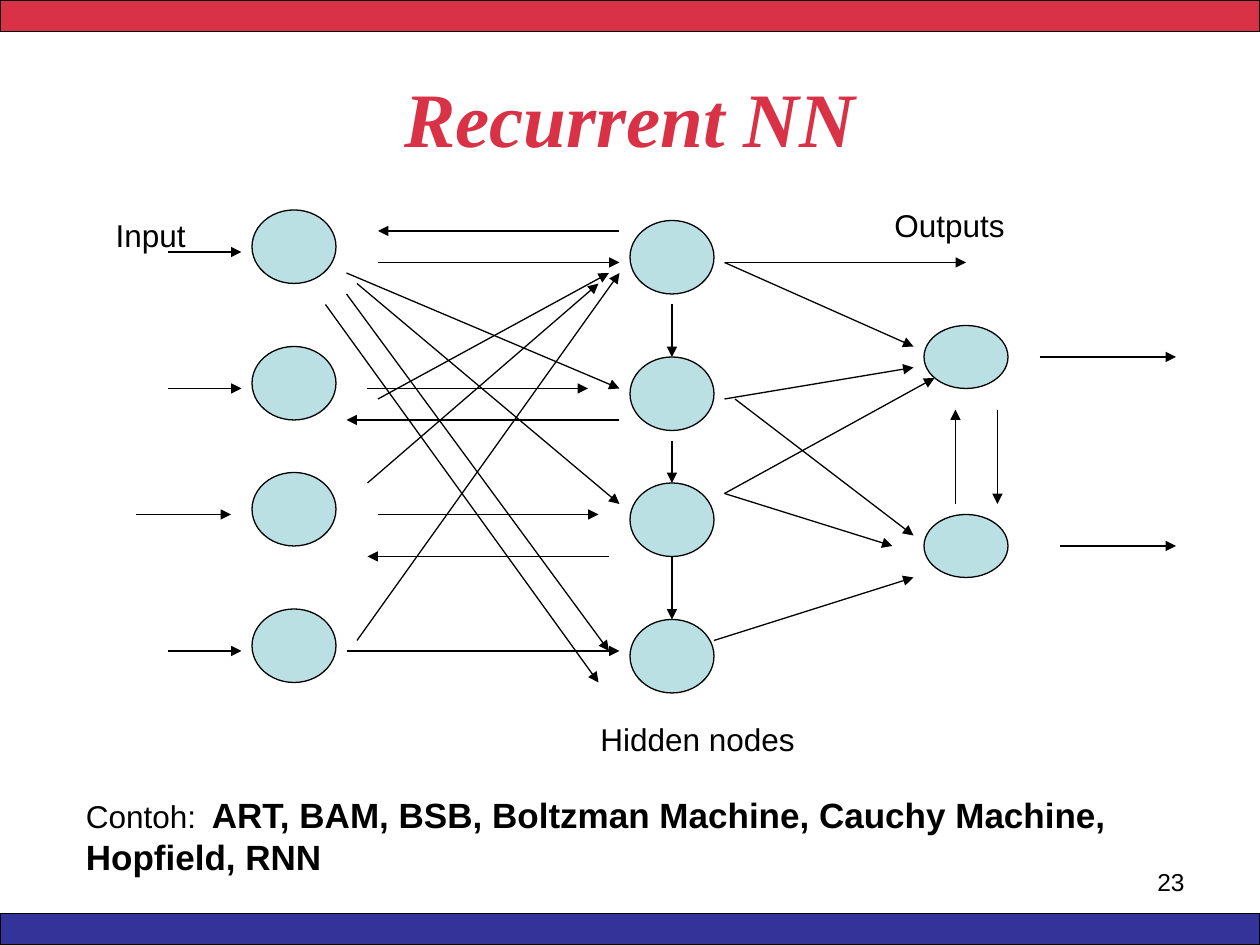
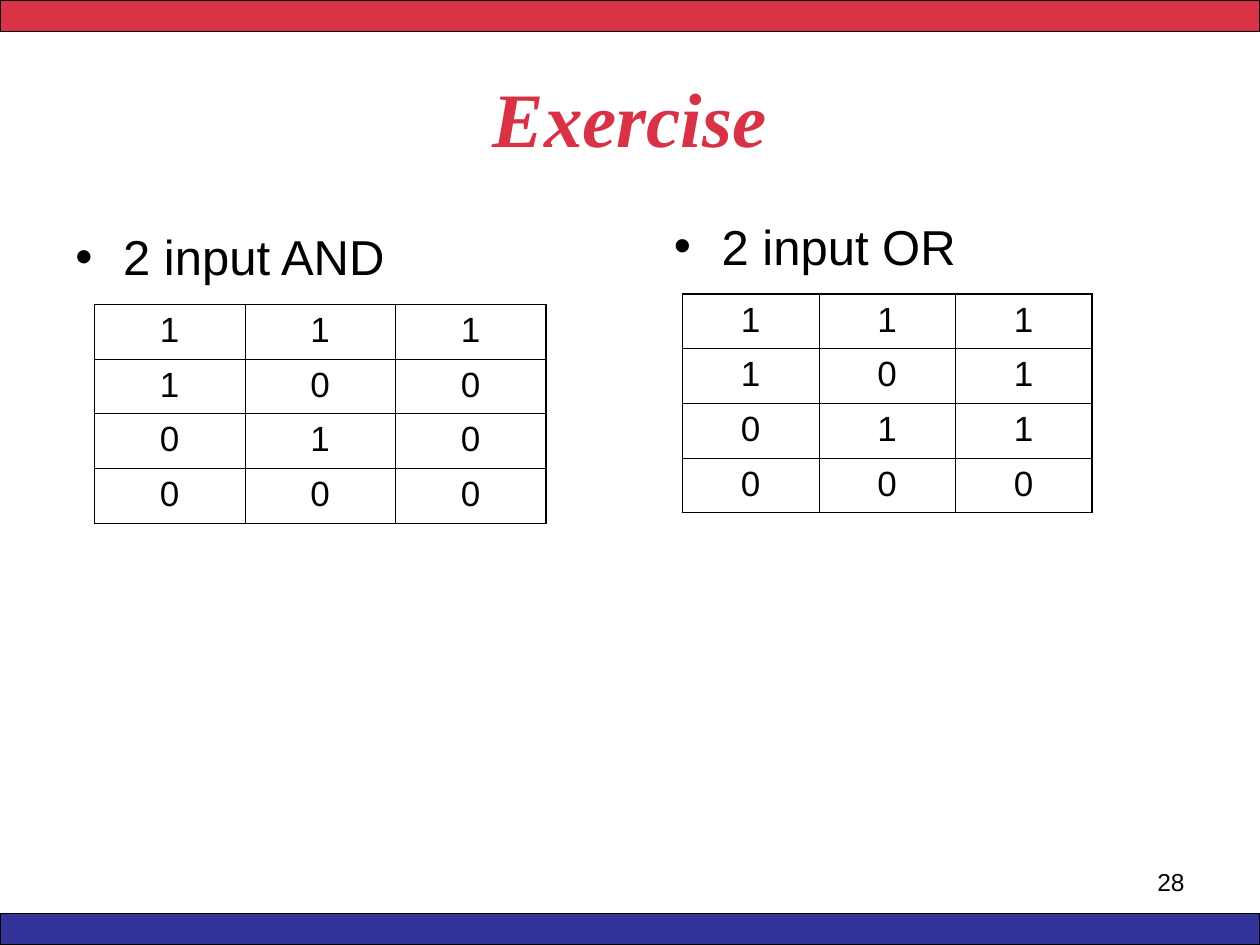
from dataclasses import dataclass

from lxml.etree import SubElement
from pptx import Presentation
from pptx.dml.color import RGBColor as Color
from pptx.enum.shapes import MSO_CONNECTOR as Connector, MSO_SHAPE as Preset
from pptx.enum.text import MSO_ANCHOR as Anchor, PP_ALIGN as Align
from pptx.oxml import parse_xml
from pptx.oxml.ns import nsdecls, qn
from pptx.util import Inches, Pt


@dataclass(frozen=True)
class Theme:
    red: str = "D93145"
    blue: str = "333399"
    node: str = "BBE0E3"
    ink: str = "000000"
    body_font: str = "Arial"
    title_font: str = "Times New Roman"
    title: float = 44
    bullet: float = 28
    strong: float = 20
    label: float = 18
    number: float = 14
    line: float = 0.75
    thin: float = 0.45
    thick: float = 1.08


theme = Theme()
deck = Presentation()
deck.slide_width, deck.slide_height = Inches(10), Inches(7.5)
COLUMNS, ROWS = 120, 90
UNIT = deck.slide_width / COLUMNS


def on_grid(*counts):
    """Turn counts of grid columns or rows into lengths."""
    return [round(count * UNIT) for count in counts]


def write(page, place, spans, align=Align.LEFT, before=0, anchor=Anchor.TOP,
          font=theme.body_font, color=theme.ink, italic=False):
    """Add a one-paragraph text box; each span is (text, size, bold)."""
    box = page.shapes.add_textbox(*on_grid(*place))
    box.text_frame.word_wrap = True
    box.text_frame.vertical_anchor = anchor
    para = box.text_frame.paragraphs[0]
    para.alignment = align
    para.space_before = Pt(before)
    for text, size, bold in spans:
        span = para.add_run()
        span.text = text
        span.font.name, span.font.size = font, Pt(size)
        span.font.bold, span.font.italic = bold, italic
        span.font.color.rgb = Color.from_string(color)
    return para


# Shared frame: bands, title and page number
blank = deck.slide_layouts[6]
network, exercise = deck.slides.add_slide(blank), deck.slides.add_slide(blank)
solids = []
for page, title, number in [(network, "Recurrent NN", "23"), (exercise, "Exercise", "28")]:
    solids += [(page, Preset.RECTANGLE, (0, 0, COLUMNS, 3), theme.red),
               (page, Preset.RECTANGLE, (0, ROWS - 3, COLUMNS, 3), theme.blue)]
    write(page, (86, 82, 28, 6.25), [(number, theme.number, False)], Align.RIGHT)
    write(page, (6, 3.6, 108, 15), [(title, theme.title, True)], Align.CENTER,
          anchor=Anchor.MIDDLE, font=theme.title_font, color=theme.red, italic=True)

# Network layers: left column, node height, node tops
layers = {
    "input": (24, 7, (20, 33, 45, 58)),
    "hidden": (60, 7, (21, 34, 46, 59)),
    "output": (88, 6, (31, 49)),
}
for left, height, tops in layers.values():
    solids += [(network, Preset.OVAL, (left, top, 8, height), theme.node) for top in tops]

nodes = {}
for page, preset, place, color in solids:
    solid = page.shapes.add_shape(preset, *on_grid(*place))
    solid.shadow.inherit = False
    solid.fill.solid()
    solid.fill.fore_color.rgb = Color.from_string(color)
    solid.line.color.rgb = Color.from_string(theme.ink)
    solid.line.width = Pt(theme.line)
    if preset == Preset.OVAL:
        nodes[place[:2]] = solid

# Arrows: start column and row, end column and row
signals_in = [(16, 24, 23, 24), (16, 37, 23, 37), (13, 49, 22, 49), (16, 62, 23, 62)]
input_to_hidden = [
    (36, 25, 59, 25), (36, 38, 58, 26), (35, 46, 57, 27), (34, 61, 59, 26),
    (33, 26, 59, 37), (34, 27, 59, 48), (33, 28, 58, 62), (31, 29, 57, 65),
    (35, 37, 56, 37), (36, 49, 57, 49), (33, 62, 59, 62),
]
hidden_to_input = [(59, 22, 36, 22), (59, 40, 33, 40), (58, 53, 35, 53)]
down_hidden = [(64, 29, 64, 34), (64, 42, 64, 46), (64, 53, 64, 59)]
hidden_to_output = [
    (69, 25, 87, 33), (69, 38, 87, 35), (70, 38, 87, 51),
    (69, 47, 89, 36), (69, 47, 85, 52), (68, 61, 87, 55),
]
between_outputs = [(95, 39, 95, 48), (91, 48, 91, 39)]
signals_out = [(69, 25, 92, 25), (99, 34, 112, 34), (101, 52, 112, 52)]

for ends in (signals_in + input_to_hidden + hidden_to_input + down_hidden
             + hidden_to_output + between_outputs + signals_out):
    arrow = network.shapes.add_connector(Connector.STRAIGHT, *on_grid(*ends))
    arrow.line.color.rgb = Color.from_string(theme.ink)
    arrow.line.width = Pt(theme.line)
    SubElement(arrow.line._get_or_add_ln(), qn("a:tailEnd"), type="triangle")
    SubElement(arrow._element.spPr, qn("a:effectLst"))
    if ends in down_hidden:
        arrow.end_connect(nodes[60, ends[3]], 0)

for text, left, top in [(" Input", 9, 20), ("Hidden nodes", 56, 68), ("Outputs", 84, 19)]:
    write(network, (left, top, 21, 4.8), [(text, theme.label, False)], before=11.2)
write(network, (7, 75, 101, 9.2), [
    ("Contoh:\t", theme.label, False),
    ("ART, BAM, BSB, Boltzman Machine, Cauchy Machine, \tHopfield, RNN", theme.strong, True),
], before=12.5)

# Truth tables: gate, text corner, table corner, table width, rows
gates = [
    ("2 input AND", (6, 21), (9, 29), 43, ("111", "100", "010", "000")),
    ("2 input OR", (63, 20), (65, 28), 39, ("111", "101", "011", "000")),
]
for gate, text_corner, table_corner, width, truth in gates:
    para = write(exercise, (*text_corner, 53, 59.4), [(gate, theme.bullet, False)], before=7)
    layout = para._p.get_or_add_pPr()
    layout.set("marL", str(Inches(0.38)))
    layout.set("indent", str(-Inches(0.38)))
    SubElement(layout, qn("a:buFont"), typeface=theme.body_font)
    SubElement(layout, qn("a:buChar"), char="•")

    table = exercise.shapes.add_table(
        len(truth), 3, *on_grid(*table_corner, width, 5.2 * len(truth))).table
    table.first_row = table.horz_banding = False
    for row, values in enumerate(truth):
        for column, value in enumerate(values):
            cell = table.cell(row, column)
            cell.fill.background()
            para = cell.text_frame.paragraphs[0]
            para.alignment = Align.CENTER
            para.space_before = Pt(5)
            span = para.add_run()
            span.text = value
            span.font.name, span.font.size = theme.body_font, Pt(theme.strong)
            span.font.color.rgb = Color.from_string(theme.ink)
            outer_sides = {"L": column == 0, "R": column == 2, "T": row == 0, "B": False}
            for position, (side, outer) in enumerate(outer_sides.items()):
                weight = Pt(theme.thick if outer else theme.thin)
                cell._tc.get_or_add_tcPr().insert(position, parse_xml(
                    f'<a:ln{side} {nsdecls("a")} w="{weight}"><a:solidFill>'
                    f'<a:srgbClr val="{theme.ink}"/></a:solidFill></a:ln{side}>'))

deck.save("out.pptx")
